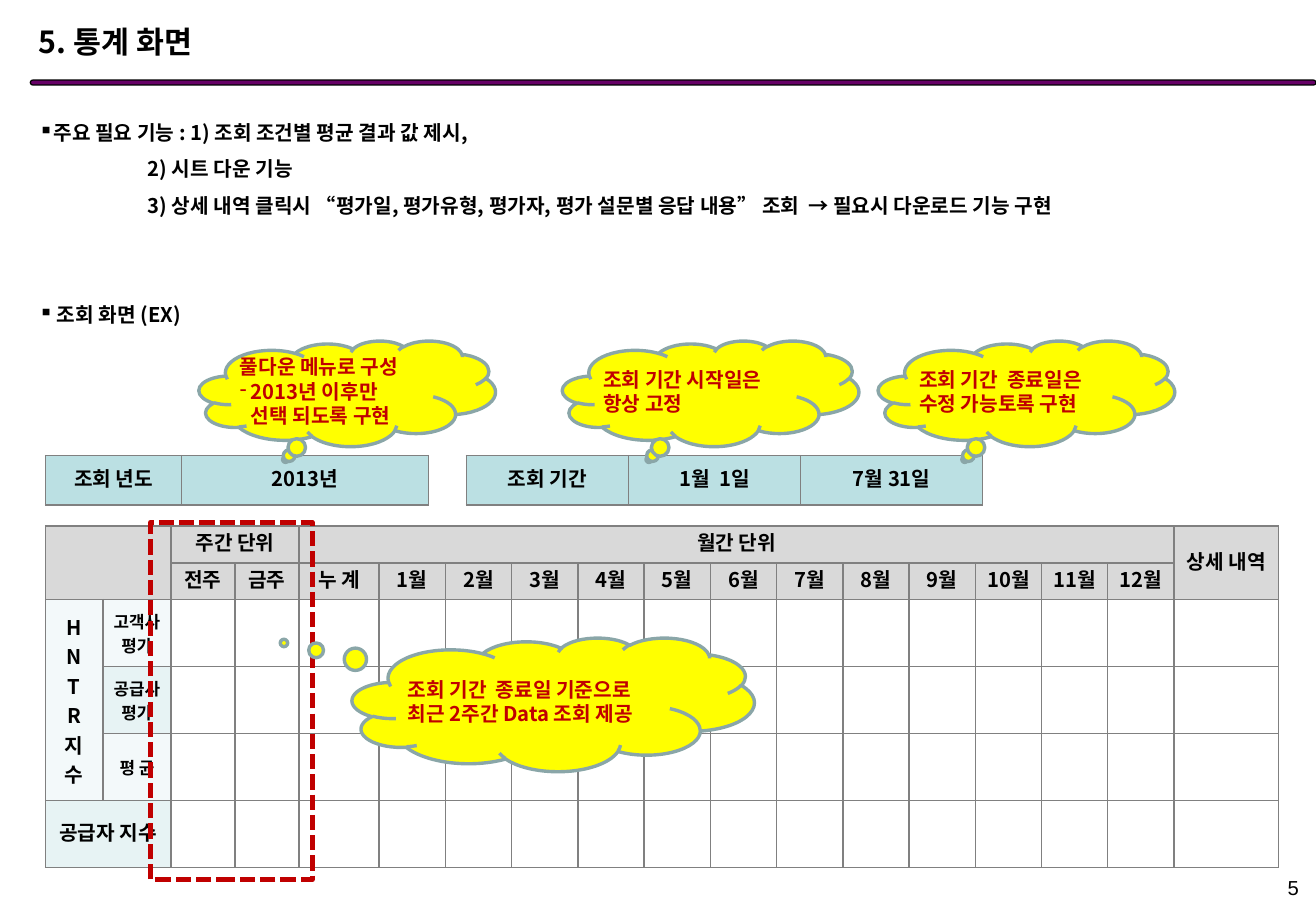
from dataclasses import dataclass

from pptx import Presentation
from pptx.dml.color import RGBColor
from pptx.enum import dml, shapes, text
from pptx.oxml import ns, xmlchemy as xml
from pptx.util import Pt


@dataclass(frozen=True)
class Theme:
    face: str = "Noto Sans CJK KR"
    plain: str = "Arial"
    ink: str = "000000"
    rule: str = "660066"
    red: str = "C00000"
    cloud: str = "FFFF00"
    edge: str = "8AA6A8"
    grid: str = "808080"
    head: str = "D9D9D9"
    bar: str = "BBE0E3"
    pale: str = "F3F9FA"
    tint: str = "E7F3F4"
    white: str = "FFFFFF"
    title: int = 18
    base: int = 12
    small: int = 10
    lead: float = 14.6
    tall: float = 17.5
    wide: float = 21.6


T = Theme()
LEFT, MID, RIGHT = text.PP_ALIGN.LEFT, text.PP_ALIGN.CENTER, text.PP_ALIGN.RIGHT
TOP, CORE, BASE = text.MSO_ANCHOR.TOP, text.MSO_ANCHOR.MIDDLE, text.MSO_ANCHOR.BOTTOM


def rgb(code):
    return RGBColor.from_string(code)


def tag(root, name, **attrs):
    node = xml.OxmlElement(name)
    for key, value in attrs.items():
        node.set(key, value)
    root.append(node)
    return node


def style(para, size=T.base, color=T.ink, lead=T.lead, align=LEFT,
          mark="", pad=0, face=T.face, bold=True):
    para.alignment = align
    para.line_spacing = Pt(lead)
    props = para._p.get_or_add_pPr()
    if pad:
        props.set("marL", str(Pt(pad)))
        props.set("indent", str(-Pt(pad) if mark else 0))
    if mark:
        tag(props, "a:buChar", char=mark)
    font = para.font
    font.name, font.size, font.bold = face, Pt(size), bold
    font.color.rgb = rgb(color)
    tag(props.find(ns.qn("a:defRPr")), "a:ea", typeface=face)


def write(frame, lines, **look):
    for i, line in enumerate(lines):
        words, mark, pad = line if isinstance(line, tuple) else (line, "", 0)
        para = frame.paragraphs[0] if i == 0 else frame.add_paragraph()
        if words:
            para.add_run().text = words
        style(para, mark=mark, pad=pad, **look)


def label(slide, box, lines, anchor=TOP, **look):
    frame = slide.shapes.add_textbox(*map(Pt, box)).text_frame
    frame.word_wrap = True
    frame.vertical_anchor = anchor
    write(frame, lines, **look)
    return frame


def block(slide, kind, box, fill, line, width):
    shape = slide.shapes.add_shape(kind, *map(Pt, box))
    shape.shadow.inherit = False
    if fill:
        shape.fill.solid()
        shape.fill.fore_color.rgb = rgb(fill)
    else:
        shape.fill.background()
    shape.line.color.rgb = rgb(line)
    shape.line.width = Pt(width)
    return shape


def header(slide, box):
    left, top, width, height = box
    frame = label(slide, (left, top, 370, height), ["5. 통계 화면"], CORE,
                  size=T.title, lead=T.wide)
    frame.margin_left = frame.margin_right = Pt(1.4)
    frame.margin_top = frame.margin_bottom = Pt(0.7)
    rule = block(slide, shapes.MSO_SHAPE.ROUNDED_RECTANGLE,
                 (left - 3.6, top + 34.5, width + 3.6, 2.9), T.rule, T.ink, 0)
    rule.adjustments[0] = 0.5


def needs(slide, box):
    frame = label(slide, box, [
        ("주요 필요 기능 : 1) 조회 조건별 평균 결과 값 제시,", "▪", 6.9),
        ("2) 시트 다운 기능", "", 64.7),
        ("3) 상세 내역 클릭시 “평가일, 평가유형, 평가자, 평가 설문별 응답 내용” 조회  → 필요시 다운로드 기능 구현", "", 64.7),
        ("조회 화면 (EX)", "▪", 10.8),
    ], lead=T.wide)
    frame.paragraphs[3].space_before = Pt(2 * T.wide)


def paint(cell, fill, lines, pad=7.2, **look):
    cell.margin_left = cell.margin_right = Pt(pad)
    cell.margin_top = cell.margin_bottom = Pt(3.6)
    cell.vertical_anchor = CORE
    write(cell.text_frame, lines, align=MID, **look)
    props = cell._tc.get_or_add_tcPr()
    for side in "LRTB":
        line = tag(props, f"a:ln{side}", w=str(Pt(1)))
        tag(tag(line, "a:solidFill"), "a:srgbClr", val=T.grid)
    cell.fill.solid()
    cell.fill.fore_color.rgb = rgb(fill)


def sheet(slide, left, top, cols, rows):
    table = slide.shapes.add_table(len(rows), len(cols), Pt(left), Pt(top),
                                   Pt(sum(cols)), Pt(sum(rows))).table
    table.first_row = table.horz_banding = False
    for col, width in zip(table.columns, cols):
        col.width = Pt(width)
    for row, height in zip(table.rows, rows):
        row.height = Pt(height)
    return table


def query(slide, box, cols, words):
    left, top, width, height = box
    table = sheet(slide, left, top, [width * c / sum(cols) for c in cols], [height])
    for i, word in enumerate(words):
        paint(table.cell(0, i), T.bar, [word])


def stats(slide, box):
    left, top, width, height = box
    fixed = [34, 40.3, 38, 38, 47.5]
    last = 62
    month = (width - sum(fixed) - last) / 12
    body = (height - 2 * T.wide) / 4
    table = sheet(slide, left, top, fixed + [month] * 12 + [last],
                  [T.wide] * 2 + [body] * 4)
    for r1, c1, r2, c2 in [(0, 0, 1, 1), (0, 2, 0, 3), (0, 4, 0, 16),
                           (0, 17, 1, 17), (2, 0, 4, 0), (5, 0, 5, 1)]:
        table.cell(r1, c1).merge(table.cell(r2, c2))
    words = {(0, 2): ["주간 단위"], (0, 4): ["월간 단위"], (0, 17): ["상세 내역"],
             (2, 0): list("HNTR지수"), (2, 1): ["고객사 평가"],
             (3, 1): ["공급사 평가"], (4, 1): ["평 균"], (5, 0): ["공급자 지수"]}
    months = [f"{n}월" for n in range(1, 13)]
    for col, word in enumerate(["전주", "금주", "누 계"] + months, 2):
        words[1, col] = [word]
    for row in range(6):
        for col in range(18):
            side = T.tint if row == 5 or (row, col) == (3, 1) else T.pale
            fill = T.head if row < 2 else side if col < 2 else T.white
            small = col == 1 and 2 <= row <= 4
            lead = T.tall if (row, col) == (2, 0) else T.lead
            paint(table.cell(row, col), fill, words.get((row, col), [""]),
                  pad=2.9, size=T.small if small else T.base, lead=lead)


def cloud(slide, box, lines, tail=None):
    shape = block(slide, shapes.MSO_SHAPE.CLOUD_CALLOUT, box, T.cloud, T.edge, 2)
    for i, value in enumerate(tail or ()):
        shape.adjustments[i] = value
    frame = shape.text_frame
    frame.word_wrap = True
    frame.vertical_anchor = CORE
    frame.margin_left = frame.margin_right = 0
    write(frame, lines, color=T.red)


def focus(slide, box):
    shape = block(slide, shapes.MSO_SHAPE.RECTANGLE, box, None, T.red, 3)
    shape.line.dash_style = dml.MSO_LINE.SQUARE_DOT


def main():
    deck = Presentation()
    deck.slide_width, deck.slide_height = Pt(780), Pt(540)
    slide = deck.slides.add_slide(deck.slide_layouts[6])
    header(slide, (21.6, 13, 758.4, 23))
    label(slide, (725, 514, 52, 23), ["5"], BASE,
          align=RIGHT, face=T.plain, bold=False)
    needs(slide, (15.8, 60.5, 737, 135))
    stats(slide, (27, 311.8, 731, 202))
    query(slide, (27, 270, 227, 29.3), [1.12, 2.03], ["조회 년도", "2013년"])
    query(slide, (276.4, 270, 306, 29.3), [1.34, 1.42, 1.5],
          ["조회 기간", "1월  1일", "7월 31일"])
    notes = [
        (118, ["풀다운 메뉴로 구성", ("2013년 이후만", "-", 6.5),
               ("선택 되도록 구현", "", 6.5)]),
        (333.4, ["조회 기간 시작일은 항상 고정"]),
        (520.6, ["조회 기간  종료일은 수정 가능토록 구현"]),
    ]
    for left, lines in notes:
        cloud(slide, (left, 202, 175.7, 62.6), lines)
    focus(slide, (89.3, 309.6, 95.8, 211.7))
    cloud(slide, (208.8, 378, 238.3, 79.2),
          ["조회 기간  종료일 기준으로 최근 2주간 Data 조회 제공"], (-0.67, -0.46))
    deck.save("out.pptx")


if __name__ == "__main__":
    main()
